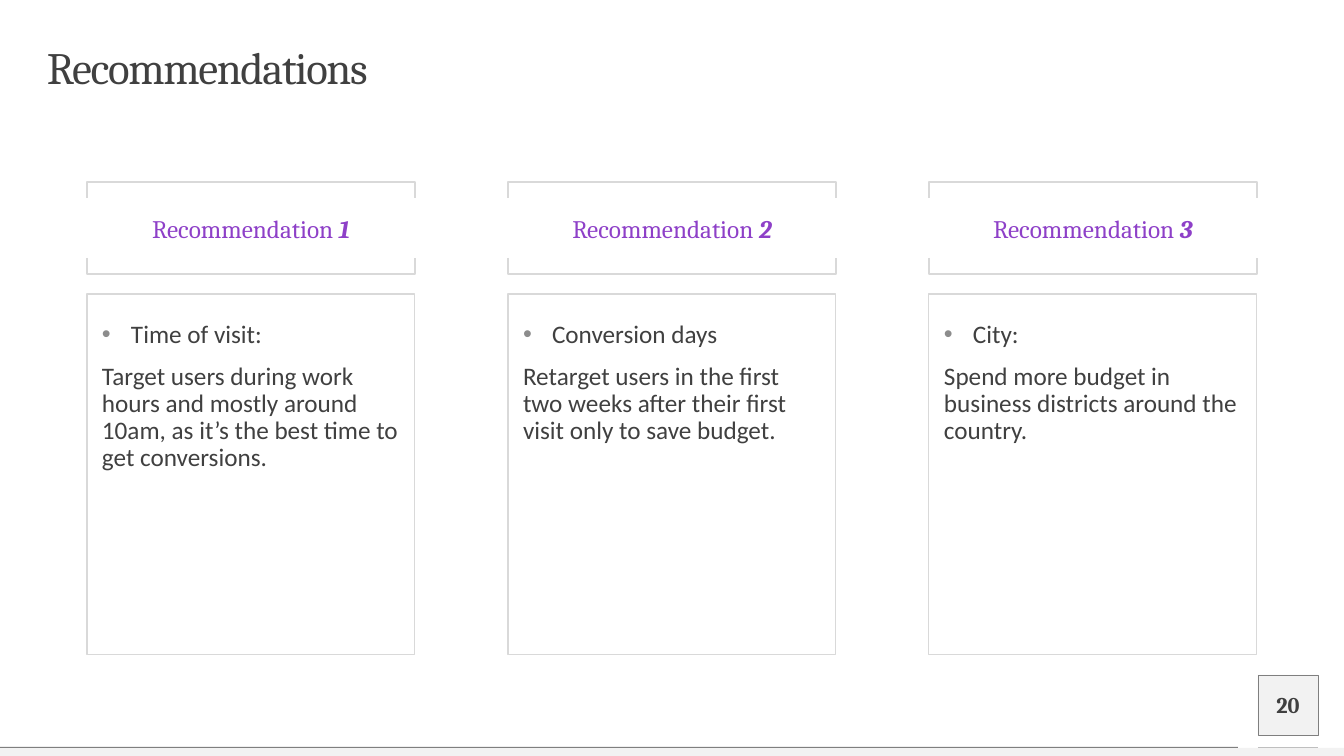
"""Build the Recommendations slide with three titled cards."""
import pptx
import pptx.dml.color
import pptx.enum.shapes
import pptx.enum.text
import pptx.oxml
import pptx.oxml.ns
import pptx.util

Pt = pptx.util.Pt
RECT = pptx.enum.shapes.MSO_SHAPE.RECTANGLE
MIDDLE = pptx.enum.text.MSO_ANCHOR.MIDDLE
CENTER = pptx.enum.text.PP_ALIGN.CENTER
RGB = pptx.dml.color.RGBColor.from_string

THEME = {
    "heading": "Cambria", "body": "Calibri",
    "ink": RGB("404040"), "accent": RGB("8E40C8"), "border": RGB("D9D9D9"),
    "panel": RGB("F2F2F2"), "rule": RGB("7F7F7F"), "tick": RGB("BFBFBF"),
    "bullet": "8C8C8C",
    "title_size": Pt(32), "text_size": Pt(18), "number_size": Pt(16),
}
CARDS = [
    ("1", "Time of visit:",
     "Target users during work hours and mostly around 10am, as it’s the best time to get conversions."),
    ("2", "Conversion days",
     "Retarget users in the first two weeks after their first visit only to save budget."),
    ("3", "City:",
     "Spend more budget in business districts around the country."),
]
CARD_LEFT, CARD_STEP, CARD_WIDTH = 87, 421, 328


def px(*lengths):
    return [round(n * 914400 / 100.8) for n in lengths]


def add_run(p, text, font, size, color, strong=False, italic=False):
    r = p.add_run()
    r.text = text
    r.font.name, r.font.size = font, size
    r.font.color.rgb = color
    r.font.bold, r.font.italic = strong, italic
    return r


prs = pptx.Presentation()
prs.slide_width, prs.slide_height = px(1344, 756)
s = prs.slides.add_slide(prs.slide_layouts[6])

for area, fill, line in [
    ((1258, 675, 60, 60), "panel", "rule"),
    ((0, 748, 1344, 8), "panel", None),
    ((0, 747, 1238, 1), "rule", None),
]:
    sp = s.shapes.add_shape(RECT, *px(*area))
    sp.shadow.inherit = False
    sp.fill.solid()
    sp.fill.fore_color.rgb = THEME[fill]
    if line:
        sp.line.color.rgb = THEME[line]
        sp.line.width = Pt(0.25)
    else:
        sp.line.fill.background()

tick = s.shapes.add_connector(
    pptx.enum.shapes.MSO_CONNECTOR.STRAIGHT, *px(1258, 747, 1318, 747))
tick.line.color.rgb = THEME["tick"]
tick.line.width = Pt(0.5)
pptx.oxml.ns.qn("a:effectLst")
tick._element.spPr.append(pptx.oxml.parse_xml(
    f'<a:effectLst {pptx.oxml.ns.nsdecls("a")}/>'))

title = s.shapes.add_textbox(*px(47, 47, 1250, 47))
number = s.shapes.add_textbox(*px(1258, 685, 60, 40))
for sp in (title, number):
    tf = sp.text_frame
    tf.word_wrap = True
    tf.vertical_anchor = MIDDLE
    tf.margin_left = tf.margin_top = tf.margin_right = tf.margin_bottom = 0

p = title.text_frame.paragraphs[0]
p.line_spacing = 0.9
r = add_run(p, "Recommendations", THEME["heading"], THEME["title_size"], THEME["ink"])
r.font._element.set("spc", "-100")

p = number.text_frame.paragraphs[0]
p.alignment = CENTER
add_run(p, "20", THEME["heading"], THEME["number_size"], THEME["ink"], strong=True)

for i, (digit, topic, advice) in enumerate(CARDS):
    left = CARD_LEFT + i * CARD_STEP
    right = left + CARD_WIDTH

    for inner, outer in ((258, 274), (198, 182)):
        builder = s.shapes.build_freeform(*px(left, inner))
        builder.add_line_segments(
            [px(left, outer), px(right, outer), px(right, inner)], close=False)
        bracket = builder.convert_to_shape()
        bracket.shadow.inherit = False
        bracket.fill.background()
        bracket.line.color.rgb = THEME["border"]
        bracket.line.width = Pt(1)

    header = s.shapes.add_textbox(*px(left, 190, CARD_WIDTH, 80))
    tf = header.text_frame
    tf.word_wrap = True
    tf.vertical_anchor = MIDDLE
    tf.margin_left, tf.margin_top, tf.margin_right, tf.margin_bottom = px(12, 4, 12, 4)
    p = tf.paragraphs[0]
    p.alignment = CENTER
    p.line_spacing, p.space_before = 0.9, Pt(10)
    style = THEME["heading"], THEME["text_size"], THEME["accent"]
    add_run(p, "Recommendation ", *style)
    add_run(p, digit, *style, strong=True, italic=True)

    card = s.shapes.add_shape(RECT, *px(left, 294, CARD_WIDTH, 361))
    card.shadow.inherit = False
    card.fill.background()
    card.line.color.rgb = THEME["border"]
    card.line.width = Pt(0.75)
    tf = card.text_frame
    tf.word_wrap = True
    tf.vertical_anchor = pptx.enum.text.MSO_ANCHOR.TOP
    tf.margin_left, tf.margin_top, tf.margin_right, tf.margin_bottom = px(15, 28, 15, 0)
    for p, text in ((tf.paragraphs[0], topic), (tf.add_paragraph(), advice)):
        p.alignment = pptx.enum.text.PP_ALIGN.LEFT
        p.line_spacing, p.space_before = 0.9, Pt(10)
        add_run(p, text, THEME["body"], THEME["text_size"], THEME["ink"])

    pPr = tf.paragraphs[0]._p.get_or_add_pPr()
    indent = px(29)[0]
    pPr.set("marL", str(indent))
    pPr.set("indent", str(-indent))
    for xml in (f'<a:buClr %s><a:srgbClr val="{THEME["bullet"]}"/></a:buClr>',
                '<a:buFont %s typeface="Arial"/>',
                '<a:buChar %s char="•"/>'):
        pPr.append(pptx.oxml.parse_xml(xml % pptx.oxml.ns.nsdecls("a")))

prs.save("out.pptx")
